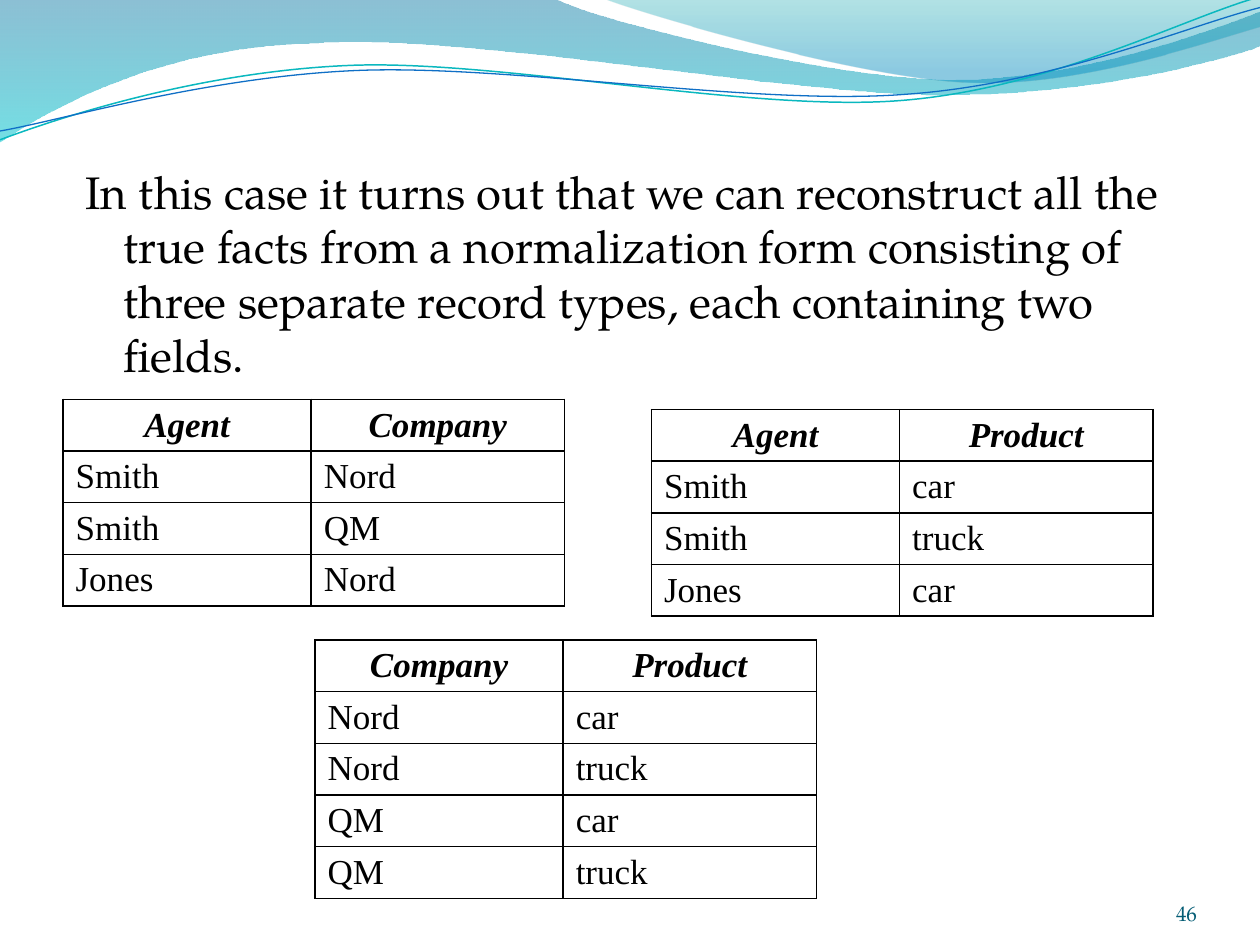
from itertools import chain

from lxml.etree import SubElement
from pptx import Presentation
from pptx.dml.color import RGBColor
from pptx.enum.text import MSO_ANCHOR as Anchor, PP_ALIGN as Align
from pptx.oxml.ns import qn
from pptx.util import Inches, Pt

BODY_FONT = "TeX Gyre Pagella"
TABLE_FONT = "Times New Roman"
BLACK, WHITE = "000000", "FFFFFF"
COLUMN_WIDTHS = (1.97, 2.01)
ROW_HEIGHT = 0.41

# Outlines start with a point; each later item is a line (2 numbers) or a Bézier curve (6).
LEFT_BAND = [
    (0, 0), (4.4, -0.01), (4.76, 0.17, 6.64, 0.63, 7.58, 0.63),
    (8.53, 0.63, 9.58, 0.26, 10, 0.09), (10.01, 0.36),
    (9.83, 0.44, 8.7, 0.76, 7.46, 0.75), (6.22, 0.75, 3.82, 0.28, 2.57, 0.34),
    (1.29, 0.36, 0.46, 0.83, -0.01, 1.13), (0, 0),
]
RIGHT_BAND = [
    (4.79, -0.01), (5.09, 0.11, 6.82, 0.62, 7.69, 0.65),
    (8.56, 0.69, 9.61, 0.32, 10, 0.21), (10, 0), (4.79, -0.01),
]
TEAL_WAVE = [
    (0, 1.11), (0.48, 0.93, 1.58, 0.57, 2.77, 0.52),
    (3.95, 0.47, 5.93, 0.89, 7.13, 0.8), (8.33, 0.71, 9.38, 0.15, 9.98, -0.02),
]
BLUE_WAVE = [
    (0, 1.04), (0.47, 0.96, 1.64, 0.61, 2.83, 0.56),
    (4.03, 0.51, 5.97, 0.84, 7.17, 0.75), (8.36, 0.67, 9.41, 0.21, 10, 0.06),
]


def color(hex_value):
    return RGBColor.from_string(hex_value)


def add_outline(slide, left, top, outline, closed):
    """Add a freeform through all points, then join each curve's three points into a Bézier."""
    numbers = list(chain.from_iterable(outline))
    points = [
        (Inches(left + x), Inches(top + y)) for x, y in zip(numbers[::2], numbers[1::2])
    ]
    builder = slide.shapes.build_freeform(*points[0], scale=1.0)
    builder.add_line_segments(points[1:], close=closed)
    shape = builder.convert_to_shape()
    shape.shadow.inherit = False

    lines = iter(list(shape._element.iter(qn("a:lnTo"))))
    for segment in outline[1:]:
        first = next(lines)
        if len(segment) == 6:
            curve = first.makeelement(qn("a:cubicBezTo"), {})
            first.addprevious(curve)
            for line in (first, next(lines), next(lines)):
                curve.append(line[0])
                line.getparent().remove(line)
    return shape


def add_band(slide, left, top, outline, stops):
    """Add a filled band; stops are (position %, colour, opacity %), top to bottom."""
    shape = add_outline(slide, left, top, outline, closed=True)
    shape.line.fill.background()
    shape.fill.gradient()
    shape.fill.gradient_angle = 270
    stop_list = shape._element.spPr.find(".//" + qn("a:gsLst"))
    stop_list.clear()
    for position, hex_value, opacity in stops:
        stop = SubElement(stop_list, qn("a:gs"), pos=str(position * 1000))
        fill = SubElement(stop, qn("a:srgbClr"), val=hex_value)
        SubElement(fill, qn("a:alpha"), val=str(opacity * 1000))


def add_wave(slide, left, top, outline, hex_value, width):
    shape = add_outline(slide, left, top, outline, closed=False)
    shape.fill.background()
    shape.line.color.rgb = color(hex_value)
    shape.line.width = Pt(width)


def add_header(slide, left, top):
    add_band(slide, left, top, LEFT_BAND, [(0, "0074A1", 45), (100, "00C6CF", 55)])
    add_band(slide, left, top, RIGHT_BAND, [(0, "00A1A9", 30), (80, "008BBF", 45)])
    add_wave(slide, left, top, TEAL_WAVE, "0AB8BF", 0.85)
    add_wave(slide, left, top, BLUE_WAVE, "0F6FC6", 0.75)


def write_text(frame, text, font=BODY_FONT, size=20, hex_value=BLACK, align=Align.LEFT,
               hanging=0, emphasis=False):
    paragraph = frame.paragraphs[0]
    paragraph.alignment = align
    if hanging:
        properties = paragraph._p.get_or_add_pPr()
        properties.set("marL", str(Inches(hanging)))
        properties.set("indent", str(-Inches(hanging)))
    run = paragraph.add_run()
    run.text = text
    run.font.name = font
    run.font.size = Pt(size)
    run.font.color.rgb = color(hex_value)
    run.font.bold = run.font.italic = emphasis


def add_body(slide, left, top, width, height):
    frame = slide.shapes.add_textbox(*map(Inches, (left, top, width, height))).text_frame
    frame.word_wrap = True
    write_text(
        frame,
        "In this case it turns out that we can reconstruct all the true facts from a "
        "normalization form consisting of three separate record types, each containing "
        "two fields.",
        size=26, hanging=0.3,
    )


def add_slide_number(slide, left, top, width, height):
    frame = slide.shapes.add_textbox(*map(Inches, (left, top, width, height))).text_frame
    frame.margin_left = frame.margin_right = frame.margin_top = frame.margin_bottom = 0
    frame.word_wrap = True
    frame.vertical_anchor = Anchor.BOTTOM
    write_text(frame, "46", size=12, hex_value="045D75", align=Align.RIGHT)


def set_borders(cell):
    properties = cell._tc.get_or_add_tcPr()
    for index, side in enumerate(("lnL", "lnR", "lnT", "lnB")):
        line = properties.makeelement(qn("a:" + side), {"w": str(Pt(1))})
        fill = SubElement(line, qn("a:solidFill"))
        SubElement(fill, qn("a:srgbClr"), val=BLACK)
        properties.insert(index, line)


def add_record_table(slide, left, top, records):
    """Add a two-column table whose first record holds the field names."""
    frame = slide.shapes.add_table(
        len(records), len(COLUMN_WIDTHS), Inches(left), Inches(top),
        Inches(sum(COLUMN_WIDTHS)), Inches(ROW_HEIGHT * len(records)),
    )
    table = frame.table
    for column, width in zip(table.columns, COLUMN_WIDTHS):
        column.width = Inches(width)
    for row_index, record in enumerate(records):
        table.rows[row_index].height = Inches(ROW_HEIGHT)
        is_header = row_index == 0
        for column_index, text in enumerate(record):
            cell = table.cell(row_index, column_index)
            cell.margin_bottom = Inches(0.02)
            cell.fill.solid()
            cell.fill.fore_color.rgb = color(WHITE)
            set_borders(cell)
            write_text(
                cell.text_frame, text, font=TABLE_FONT, hanging=0.38, emphasis=is_header,
                align=Align.CENTER if is_header else Align.LEFT,
            )


def main():
    presentation = Presentation()
    presentation.slide_width, presentation.slide_height = Inches(10), Inches(7.5)
    slide = presentation.slides.add_slide(presentation.slide_layouts[6])
    add_header(slide, 0, 0)
    add_slide_number(slide, 8.67, 6.95, 0.83, 0.4)
    add_body(slide, 0.58, 1.25, 9, 1.67)
    add_record_table(slide, 0.5, 3.17, [
        ("Agent", "Company"), ("Smith", "Nord"), ("Smith", "QM"), ("Jones", "Nord"),
    ])
    add_record_table(slide, 5.17, 3.25, [
        ("Agent", "Product"), ("Smith", "car"), ("Smith", "truck"), ("Jones", "car"),
    ])
    add_record_table(slide, 2.5, 5.08, [
        ("Company", "Product"), ("Nord", "car"), ("Nord", "truck"),
        ("QM", "car"), ("QM", "truck"),
    ])
    presentation.save("out.pptx")


if __name__ == "__main__":
    main()
